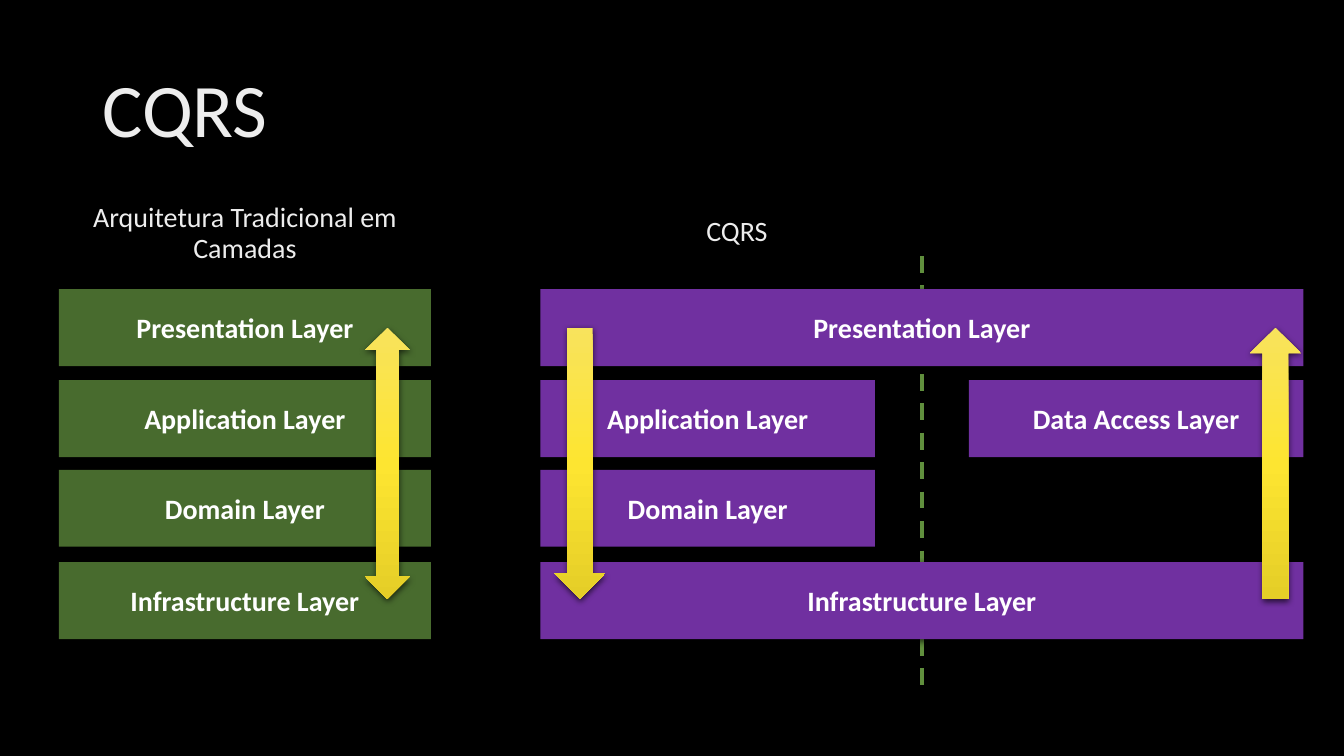
from copy import deepcopy

from lxml import etree
from pptx import Presentation
from pptx.dml.color import RGBColor
from pptx.enum.dml import MSO_LINE
from pptx.enum.shapes import MSO_CONNECTOR, MSO_SHAPE
from pptx.enum.text import MSO_ANCHOR, MSO_AUTO_SIZE, PP_ALIGN
from pptx.oxml.ns import qn
from pptx.util import Pt

STRAIGHT = MSO_CONNECTOR.STRAIGHT
DASH = MSO_LINE.DASH
RECTANGLE = MSO_SHAPE.RECTANGLE
UP_ARROW = MSO_SHAPE.UP_ARROW
DOWN_ARROW = MSO_SHAPE.DOWN_ARROW
UP_DOWN_ARROW = MSO_SHAPE.UP_DOWN_ARROW
MIDDLE = MSO_ANCHOR.MIDDLE
NO_AUTOSIZE = MSO_AUTO_SIZE.NONE
LEFT = PP_ALIGN.LEFT
CENTER = PP_ALIGN.CENTER

BLACK = RGBColor(0x00, 0x00, 0x00)
WHITE = RGBColor(0xFF, 0xFF, 0xFF)
LIGHT_GRAY = RGBColor(0xED, 0xED, 0xED)
GREEN = RGBColor(0x48, 0x6B, 0x2E)
LINE_GREEN = RGBColor(0x60, 0x8F, 0x3D)
PURPLE = RGBColor(0x70, 0x30, 0xA0)
PALE_YELLOW = RGBColor(0xF8, 0xE3, 0x5C)
YELLOW = RGBColor(0xFD, 0xE5, 0x31)
DARK_YELLOW = RGBColor(0xE5, 0xCE, 0x27)

FONT = "Calibri"
LAYER_HEIGHT = 55
LAYER_TOPS = (0, 65, 129, 195)
ARROW_OFFSET = 27.4
ARROW_HEIGHT = 193.7


def add_shadow(shape):
    effects = etree.SubElement(shape._element.spPr, qn("a:effectLst"))
    shadow = etree.SubElement(
        effects, qn("a:outerShdw"), blurRad=str(Pt(4.5)), dist=str(Pt(1.5)),
        dir="5400000", algn="ctr", rotWithShape="0")
    color = etree.SubElement(shadow, qn("a:srgbClr"), val=str(BLACK))
    etree.SubElement(color, qn("a:alpha"), val="63000")


def write_text(shape, text, size, color, alignment=CENTER, bold=False, spacing=1.0):
    frame = shape.text_frame
    frame.text = text
    frame.word_wrap = True
    frame.auto_size = NO_AUTOSIZE
    frame.vertical_anchor = MIDDLE
    paragraph = frame.paragraphs[0]
    paragraph.alignment = alignment
    paragraph.line_spacing = spacing
    font = paragraph.runs[0].font
    font.name = FONT
    font.size = Pt(size)
    font.bold = bold
    font.color.rgb = color


def add_layer(slide, text, left, top, width, color):
    layer = slide.shapes.add_shape(
        RECTANGLE, Pt(left), Pt(top), Pt(width), Pt(LAYER_HEIGHT))
    layer.fill.solid()
    layer.fill.fore_color.rgb = color
    layer.line.fill.background()
    add_shadow(layer)
    write_text(layer, text, 20, WHITE, bold=True)


def add_flow_arrow(slide, kind, left, top, width):
    arrow = slide.shapes.add_shape(
        kind, Pt(left), Pt(top + ARROW_OFFSET), Pt(width), Pt(ARROW_HEIGHT))
    arrow.fill.gradient()
    arrow.fill.gradient_angle = 270
    stop_list = arrow._element.spPr.find(qn("a:gradFill")).find(qn("a:gsLst"))
    stop_list.insert(1, deepcopy(stop_list[0]))
    colors = (PALE_YELLOW, YELLOW, DARK_YELLOW)
    for index, (stop, color) in enumerate(zip(arrow.fill.gradient_stops, colors)):
        stop.position = index / 2
        stop.color.rgb = color
    arrow.line.fill.background()
    add_shadow(arrow)


def add_heading(slide, text, left, top):
    heading = slide.shapes.add_textbox(Pt(left), Pt(top), Pt(293.8), Pt(63.4))
    write_text(heading, text, 20, LIGHT_GRAY, spacing=0.9)


def add_title(slide, left, top, width, height):
    title = slide.shapes.title
    title.left, title.top = Pt(left), Pt(top)
    title.width, title.height = Pt(width), Pt(height)
    write_text(title, "CQRS", 54, LIGHT_GRAY, LEFT, spacing=0.9)


def add_traditional(slide, left, top, width):
    add_heading(slide, "Arquitetura Tradicional em Camadas", left - 13.9, top - 71.3)
    names = ("Presentation Layer", "Application Layer", "Domain Layer", "Infrastructure Layer")
    for name, offset in zip(names, LAYER_TOPS):
        add_layer(slide, name, left, top + offset, width, GREEN)
    add_flow_arrow(slide, UP_DOWN_ARROW, left + width - 47, top, 32)


def add_cqrs(slide, left, top, width):
    middle = left + width / 2
    divider = slide.shapes.add_connector(
        STRAIGHT, Pt(middle), Pt(top - 23.7), Pt(middle), Pt(top + 284.4))
    divider.line.color.rgb = LINE_GREEN
    divider.line.width = Pt(3)
    divider.line.dash_style = DASH
    etree.SubElement(divider._element.spPr, qn("a:effectLst"))

    add_heading(slide, "CQRS", left - 6.5, top - 72)
    presentation_top, application_top, domain_top, infrastructure_top = LAYER_TOPS
    half = 239
    right_column = left + width - half
    layers = (
        ("Presentation Layer", left, presentation_top, width),
        ("Infrastructure Layer", left, infrastructure_top, width),
        ("Data Access Layer", right_column, application_top, half),
        ("Application Layer", left, application_top, half),
        ("Domain Layer", left, domain_top, half),
    )
    for name, layer_left, offset, layer_width in layers:
        add_layer(slide, name, layer_left, top + offset, layer_width, PURPLE)
    add_flow_arrow(slide, DOWN_ARROW, left + 10, top, 36.5)
    add_flow_arrow(slide, UP_ARROW, left + width - 38.2, top, 36.5)


def main():
    presentation = Presentation()
    presentation.slide_width = Pt(960)
    presentation.slide_height = Pt(540)
    slide = presentation.slides.add_slide(presentation.slide_layouts[5])
    slide.background.fill.solid()
    slide.background.fill.fore_color.rgb = BLACK
    add_title(slide, 66, 28.8, 828, 104.4)
    add_traditional(slide, 42, 206.6, 265.8)
    add_cqrs(slide, 386, 206.6, 545)
    presentation.save("out.pptx")


if __name__ == "__main__":
    main()
